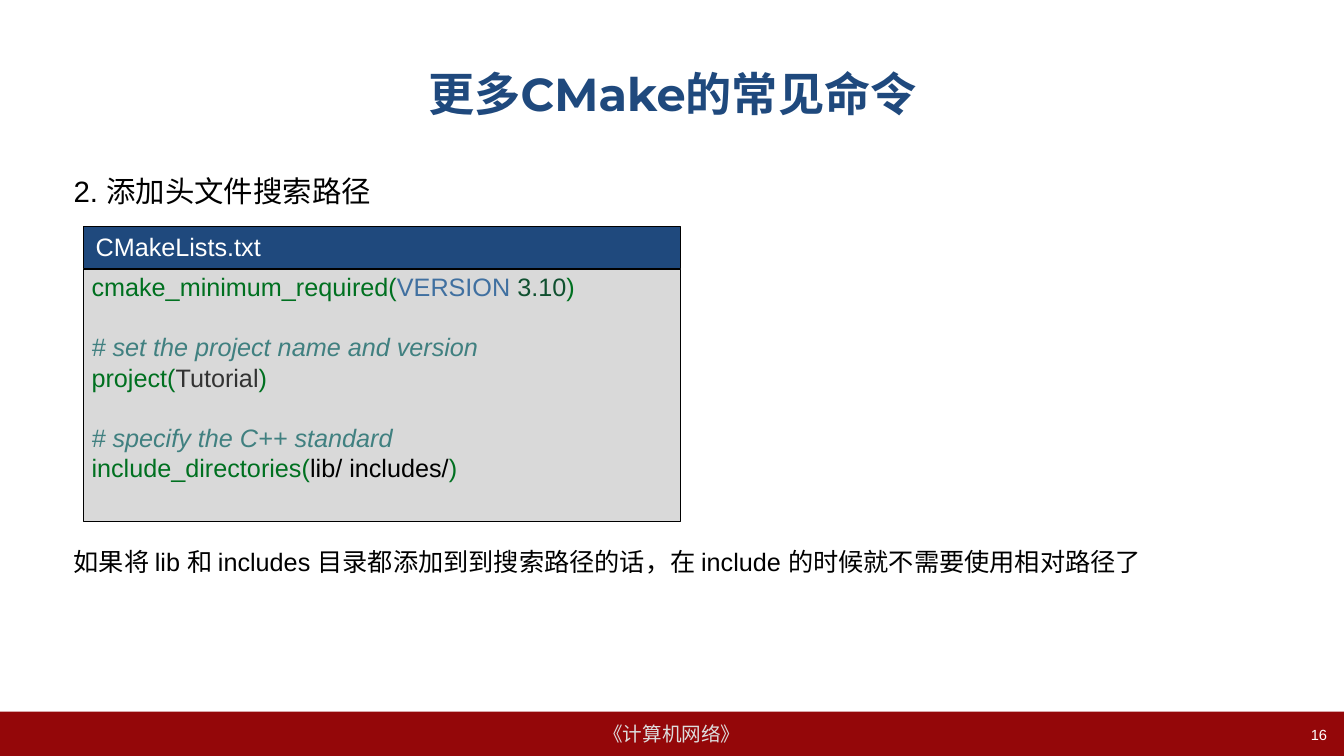
import pptx
import pptx.util
import pptx.dml.color
import pptx.enum.text
import pptx.oxml

Inches = pptx.util.Inches
Pt = pptx.util.Pt
Align = pptx.enum.text.PP_ALIGN
Anchor = pptx.enum.text.MSO_ANCHOR

NAVY, RED, WHITE, BLACK = "1F497D", "940709", "FFFFFF", "000000"
GREEN, TEAL = "007020", "408080"
GAP = 21.6

CODE = [
    (0, [("cmake_minimum_required(", GREEN), ("VERSION ", "4070A0"),
         ("3.10", "105030"), (")", GREEN)]),
    (GAP, [("# set the project name and version", TEAL)]),
    (0, [("project(", GREEN), ("Tutorial", "333333"), (")", GREEN)]),
    (GAP, [("# specify the C++ standard", TEAL)]),
    (0, [("include_directories(", GREEN), ("lib/ includes/", BLACK), (")", GREEN)]),
]
NOTES = [
    (0, 21, "2. 添加头文件搜索路径"),
    (241, 18, "如果将 lib 和 includes 目录都添加到到搜索路径的话，"
              "在 include 的时候就不需要使用相对路径了"),
]


def paint(item, color):
    """Give a fill or a font colour format the hex colour."""
    item.rgb = pptx.dml.color.RGBColor.from_string(color)


def style(item, values):
    """Set each named attribute of an object."""
    for name, value in values.items():
        setattr(item, name, value)


def place(shape, box):
    """Move a shape to left, top, width and height in inches."""
    style(shape, dict(zip(("left", "top", "width", "height"), map(Inches, box))))


def write(para, text, size, color, **values):
    """Add a run of text to a paragraph."""
    run = para.add_run()
    run.text = text
    style(run.font, {"name": "Arial", "size": Pt(size), **values})
    paint(run.font.color, color)


def add_box(slide, box, fill, edge=None):
    """Add a flat rectangle."""
    shape = slide.shapes.add_shape(pptx.enum.shapes.MSO_SHAPE.RECTANGLE, *map(Inches, box))
    shape.shadow.inherit = False
    shape.fill.solid()
    paint(shape.fill.fore_color, fill)
    if edge:
        paint(shape.line.color, edge)
        shape.line.width = Pt(0.75)
    else:
        shape.line.fill.background()
    return shape


def add_text(slide, box, wrap=True):
    """Add an empty text box and return its frame."""
    frame = slide.shapes.add_textbox(*map(Inches, box)).text_frame
    frame.word_wrap = wrap
    return frame


def add_label(slide, box, text, size, align, wrap=True):
    """Add one line of white text."""
    para = add_text(slide, box, wrap).paragraphs[0]
    para.alignment = align
    write(para, text, size, WHITE)


def next_para(frame, index):
    """Return the first paragraph, or a new one after it."""
    return frame.add_paragraph() if index else frame.paragraphs[0]


def fill_title(slide):
    """Place and write the title."""
    title = slide.shapes.title
    place(title, (0.67, 0.3, 12, 1.25))
    title.text_frame.vertical_anchor = Anchor.MIDDLE
    para = title.text_frame.paragraphs[0]
    para.alignment = Align.CENTER
    write(para, "更多CMake的常见命令", 33, NAVY, name="Montserrat", bold=True)


def fill_body(slide):
    """Place the body and write the notes above and below the code."""
    body = slide.placeholders[1]
    place(body, (0.58, 1.67, 12, 5.29))
    frame = body.text_frame
    frame.auto_size = pptx.enum.text.MSO_AUTO_SIZE.NONE
    for index, (gap, size, text) in enumerate(NOTES):
        para = next_para(frame, index)
        props = para._p.get_or_add_pPr()
        props.set("marL", str(Inches(0.05)))
        props.set("indent", "0")
        pptx.oxml.xmlchemy.OxmlElement("a:buNone")
        props.append(pptx.oxml.xmlchemy.OxmlElement("a:buNone"))
        para.space_before = Pt(gap)
        write(para, text, size, BLACK)


def add_code(slide):
    """Draw the code panel with its file name and lines."""
    add_box(slide, (0.83, 2.67, 5.92, 2.5), "D9D9D9", BLACK)
    frame = add_text(slide, (0.81, 2.64, 6.67, 2.22))
    for index, (gap, parts) in enumerate(CODE):
        para = next_para(frame, index)
        style(para, {"line_spacing": Pt(GAP), "space_before": Pt(gap)})
        for text, color in parts:
            write(para, text, 18, color, italic=color == TEAL)
    add_box(slide, (0.83, 2.25, 5.92, 0.41), NAVY, BLACK)
    add_label(slide, (0.85, 2.25, 1.86, 0.4), "CMakeLists.txt", 18, Align.LEFT, False)


def add_foot(slide):
    """Draw the footer band with the course and page number."""
    band = add_box(slide, (0, 7.06, 13.33, 0.44), RED)
    style(band.text_frame, {"word_wrap": False, "vertical_anchor": Anchor.MIDDLE})
    para = band.text_frame.paragraphs[0]
    para.alignment = Align.CENTER
    write(para, "《计算机网络》", 14, "DDDDDD")
    add_label(slide, (10.15, 7.15, 3.11, 0.35), "16", 10.5, Align.RIGHT)


def main():
    """Build the slide and save it."""
    deck = pptx.Presentation()
    style(deck, {"slide_width": Inches(13.33), "slide_height": Inches(7.5)})
    slide = deck.slides.add_slide(deck.slide_layouts[1])
    fill_title(slide)
    fill_body(slide)
    add_code(slide)
    add_foot(slide)
    deck.save("out.pptx")


if __name__ == "__main__":
    main()
